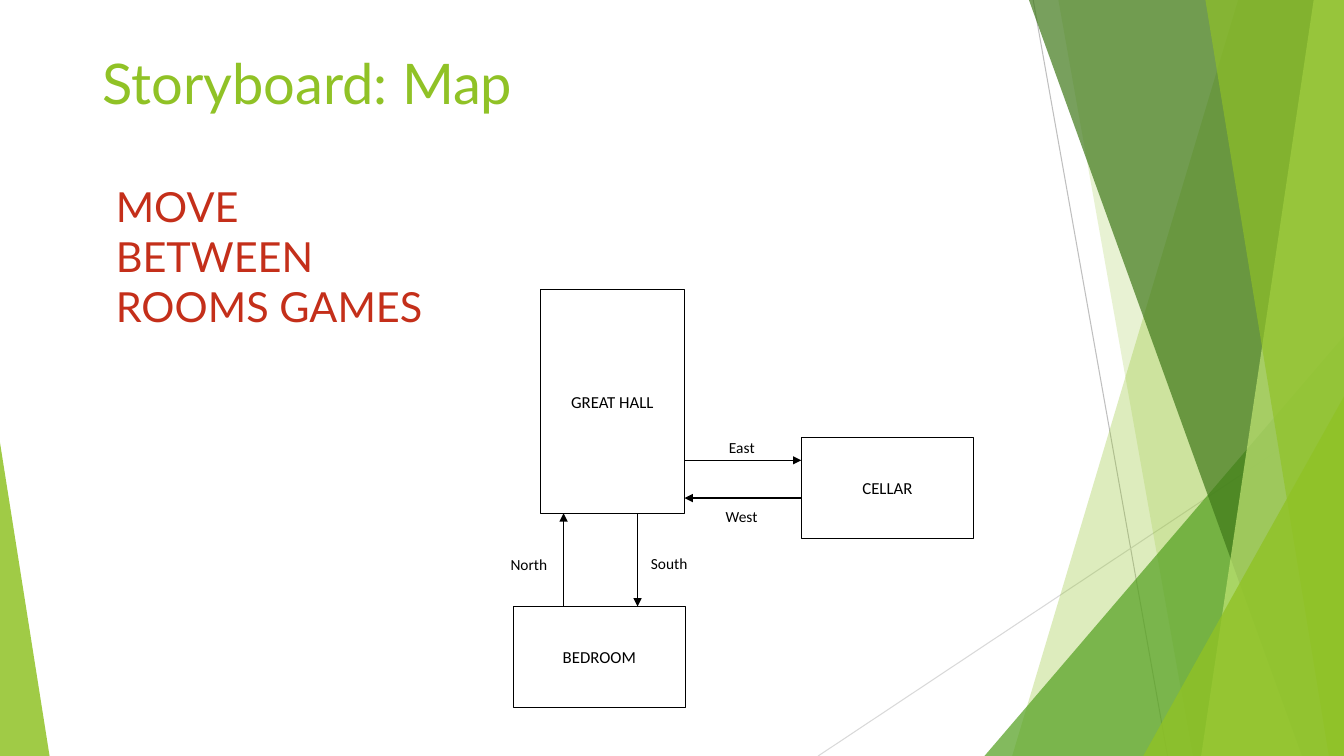
from dataclasses import dataclass

from lxml import etree
from pptx import Presentation
from pptx import util as u
from pptx.dml.color import RGBColor
from pptx.enum import shapes, text
from pptx.oxml.ns import qn

COLUMNS, ROWS = 160, 90
CELL = u.Inches(1) // 12


@dataclass(frozen=True)
class Theme:
    lime: str = "90C226"
    green: str = "54A021"
    forest: str = "3F7819"
    pale: str = "C0E474"
    red: str = "C42F1A"
    black: str = "000000"
    white: str = "FFFFFF"
    dark_ray: str = "BFBFBF"
    light_ray: str = "D9D9D9"
    heading_font: str = "Lato"
    map_font: str = "Calibri"
    title_size: float = 40
    subtitle_size: float = 29.6
    room_size: float = 12
    label_size: float = 11


THEME = Theme()


def cells(*counts):
    """Turn counts of grid cells into lengths."""
    return [u.Emu(round(count * CELL)) for count in counts]


def write(box, wording, font, size, color, align=text.PP_ALIGN.LEFT,
          anchor=text.MSO_ANCHOR.TOP):
    frame = box.text_frame
    frame.word_wrap = True
    frame.auto_size = text.MSO_AUTO_SIZE.NONE
    frame.vertical_anchor = anchor
    para = frame.paragraphs[0]
    para.text = wording
    para.alignment = align
    para.font.name = font
    para.font.size = u.Pt(size)
    para.font.color.rgb = RGBColor.from_string(color)


def tint(shape, color, opacity):
    """Give a shape a see-through fill and no outline."""
    shape.shadow.inherit = False
    shape.line.fill.background()
    shape.fill.solid()
    shape.fill.fore_color.rgb = RGBColor.from_string(color)
    tone = shape.element.spPr.find(".//" + qn("a:srgbClr"))
    etree.SubElement(tone, qn("a:alpha"), val=str(opacity * 1000))


def add_band(page, top, bottom, color, opacity):
    """Fill from a slanted left edge to the right side of the slide."""
    builder = page.shapes.build_freeform(*cells(top, 0), scale=1.0)
    corners = [(COLUMNS, 0), (COLUMNS, ROWS), (bottom, ROWS)]
    builder.add_line_segments([cells(*corner) for corner in corners])
    tint(builder.convert_to_shape(), color, opacity)


def add_corner(page, left, top, width, peak, color, opacity):
    """Stand a triangle on the bottom edge of the slide."""
    corner = page.shapes.add_shape(
        shapes.MSO_SHAPE.ISOSCELES_TRIANGLE,
        *cells(left, top, width, ROWS - top))
    corner.adjustments[0] = peak
    tint(corner, color, opacity)


def add_line(page, start, end, color, width, arrow=False):
    line = page.shapes.add_connector(
        shapes.MSO_CONNECTOR.STRAIGHT, *cells(*start, *end))
    line.line.color.rgb = RGBColor.from_string(color)
    line.line.width = u.Pt(width)
    properties = line.element.spPr
    if arrow:
        etree.SubElement(properties.find(qn("a:ln")), qn("a:tailEnd"),
                         type="triangle")
    etree.SubElement(properties, qn("a:effectLst"))


def add_room(page, name, left, top, width, height):
    room = page.shapes.add_shape(
        shapes.MSO_SHAPE.RECTANGLE, *cells(left, top, width, height))
    room.shadow.inherit = False
    room.fill.solid()
    room.fill.fore_color.rgb = RGBColor.from_string(THEME.white)
    room.line.color.rgb = RGBColor.from_string(THEME.black)
    room.line.width = u.Pt(0.5)
    write(room, name, THEME.map_font, THEME.room_size, THEME.black,
          text.PP_ALIGN.CENTER, text.MSO_ANCHOR.MIDDLE)


def add_passage(page, name, start, end, label, width):
    """Draw an arrow between rooms and the direction beside it."""
    add_line(page, start, end, THEME.black, width, arrow=True)
    box = page.shapes.add_textbox(*cells(*label, 7.3, 3.5))
    write(box, name, THEME.map_font, THEME.label_size, THEME.black)


def add_backdrop(page):
    add_line(page, (123, 0), (139, ROWS), THEME.dark_ray, 0.75)
    add_line(page, (COLUMNS, 48.4), (97.4, ROWS), THEME.light_ray, 0.75)
    add_band(page, 147.4, 120.5, THEME.lime, 30)
    add_band(page, 126, 142, THEME.lime, 20)
    add_corner(page, 117.2, 40, 42.8, 1, THEME.green, 72)
    add_band(page, 122.5, 155, THEME.forest, 70)
    add_band(page, 156.4, 143, THEME.pale, 70)
    add_band(page, 143.5, 158.2, THEME.lime, 65)
    add_corner(page, 136.1, 47.2, 23.9, 1, THEME.lime, 80)
    add_corner(page, 0, 52.7, 5.9, 0, THEME.lime, 85)


def add_headings(page):
    title = page.shapes.title
    title.left, title.top, title.width, title.height = cells(
        11, 5.2, 104.4, 14.2)
    write(title, "Storyboard: Map", THEME.heading_font, THEME.title_size,
          THEME.lime)
    subtitle = page.shapes.add_textbox(*cells(12.6, 21, 39.7, 11.8))
    write(subtitle, "MOVE BETWEEN ROOMS GAMES", THEME.heading_font,
          THEME.subtitle_size, THEME.red)


def add_map(page):
    hall_right, hall_bottom = 81.5, 61.1
    cellar_left, bedroom_top = 95.4, 72.2
    add_room(page, "GREAT HALL", 64.3, 34.5, 17.2, 26.6)
    add_room(page, "CELLAR", cellar_left, 52.1, 20.5, 12)
    add_room(page, "BEDROOM", 61.1, bedroom_top, 20.5, 12)
    east, west, north, south = 54.8, 59.3, 67.1, 75.9
    add_passage(page, "East", (hall_right, east), (cellar_left, east),
                (85.6, 51.6), 0.75)
    add_passage(page, "West", (cellar_left, west), (hall_right, west),
                (85.2, 59.8), 1)
    add_passage(page, "North", (north, bedroom_top), (north, hall_bottom),
                (59.6, 65.5), 1)
    add_passage(page, "South", (south, hall_bottom), (south, bedroom_top),
                (76.3, 65.4), 1)


def main():
    deck = Presentation()
    deck.slide_width, deck.slide_height = cells(COLUMNS, ROWS)
    title_only = deck.slide_layouts.get_by_name("Title Only")
    page = deck.slides.add_slide(title_only)
    add_backdrop(page)
    add_headings(page)
    add_map(page)
    deck.save("out.pptx")


if __name__ == "__main__":
    main()
